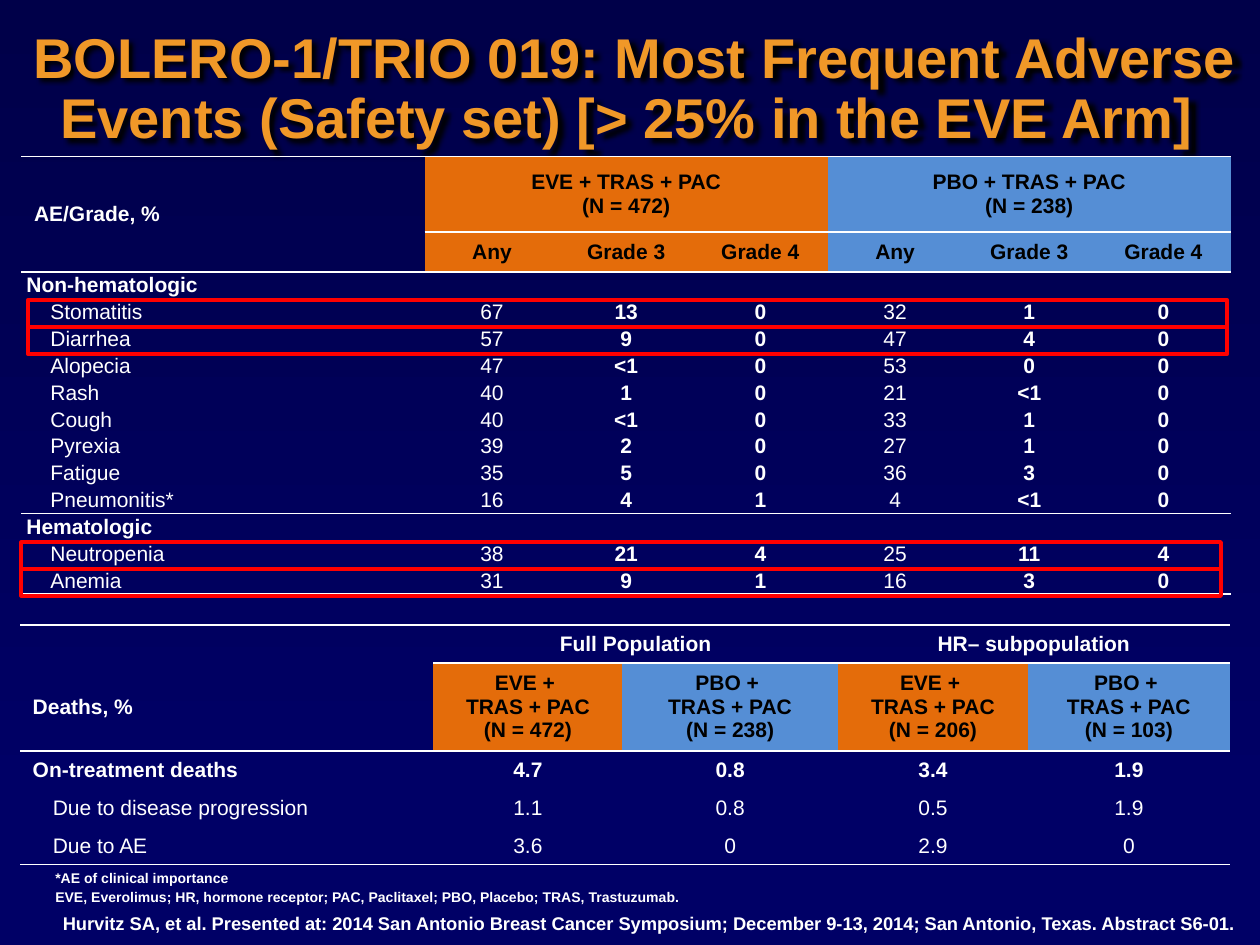
import pptx
import pptx.util
import pptx.dml.color
import pptx.enum.shapes
import pptx.enum.text
import pptx.oxml
from pptx.oxml.ns import nsdecls

Inches = pptx.util.Inches
Pt = pptx.util.Pt
ALIGN = pptx.enum.text.PP_ALIGN
ANCHOR = pptx.enum.text.MSO_ANCHOR

WHITE, BLACK, RED, GOLD = "FFFFFF", "000000", "FF0000", "F09828"
ORANGE, BLUE = "E46C0A", "558ED5"
NAVY, NIGHT = "000066", "000049"
NO_STYLE = "{2D5ABB26-0587-4C30-8999-92F81FD0307C}"

TITLE = "BOLERO-1/TRIO 019: Most Frequent Adverse Events (Safety set) [> 25% in the EVE Arm] "
FOOTNOTES = [
    "*AE of clinical importance",
    "EVE, Everolimus; HR, hormone receptor; PAC, Paclitaxel; PBO, Placebo; TRAS, Trastuzumab.",
]
CITATION = ("Hurvitz SA, et al. Presented at: 2014 San Antonio Breast Cancer Symposium; "
            "December 9-13, 2014; San Antonio, Texas. Abstract S6-01.")

GRADES = ["Any", "Grade 3", "Grade 4"]
EVENTS = [
    ["AE/Grade, %", "EVE + TRAS + PAC\n(N = 472)", "", "", "PBO + TRAS + PAC\n(N = 238)", "", ""],
    ["", *GRADES, *GRADES],
    ["Non-hematologic"] + [""] * 6,
    ["Stomatitis", "67", "13", "0", "32", "1", "0"],
    ["Diarrhea", "57", "9", "0", "47", "4", "0"],
    ["Alopecia", "47", "<1", "0", "53", "0", "0"],
    ["Rash", "40", "1", "0", "21", "<1", "0"],
    ["Cough", "40", "<1", "0", "33", "1", "0"],
    ["Pyrexia", "39", "2", "0", "27", "1", "0"],
    ["Fatigue", "35", "5", "0", "36", "3", "0"],
    ["Pneumonitis*", "16", "4", "1", "4", "<1", "0"],
    ["Hematologic"] + [""] * 6,
    ["Neutropenia", "38", "21", "4", "25", "11", "4"],
    ["Anemia", "31", "9", "1", "16", "3", "0"],
]
EVENT_TOP = 1.24
EVENT_ROW = 2.56 / 12
EVENT_HEIGHTS = [0.6, 0.32] + [EVENT_ROW] * 12
EVENT_GROUPS = (2, 11)
EVENT_SPANS = [(0, 0, 1, 0), (0, 1, 0, 3), (0, 4, 0, 6)] + [(r, 0, r, 6) for r in EVENT_GROUPS]
EVENT_RULES = {-1: (0, 1), 0: (0, 1), 1: (0, 1), 10: (0, 1), 13: (0, 1.5)}

DEATHS = [
    ["", "Full Population", "", "HR– subpopulation", ""],
    ["Deaths, %"] + [f"{arm} + \nTRAS + PAC\n(N = {n})" for arm, n in
                     [("EVE", 472), ("PBO", 238), ("EVE", 206), ("PBO", 103)]],
    ["On-treatment deaths", "4.7", "0.8", "3.4", "1.9"],
    ["Due to disease progression", "1.1", "0.8", "0.5", "1.9"],
    ["Due to AE", "3.6", "0", "2.9", "0"],
]
DEATH_SPANS = [(0, 1, 0, 2), (0, 3, 0, 4)]
DEATH_RULES = {-1: (0, 1), 0: (1, 1), 1: (0, 1), 4: (0, 1)}

HIGHLIGHTS = [(0.22, 3), (0.22, 4), (0.17, 12), (0.17, 13)]


def rgb(hex_code):
    return pptx.dml.color.RGBColor.from_string(hex_code)


def write(frame, lines, size, color=WHITE, bold=True, align=ALIGN.LEFT, gap=0):
    for i, line in enumerate(lines):
        paragraph = frame.paragraphs[0] if i == 0 else frame.add_paragraph()
        paragraph.alignment = align
        if i and gap:
            paragraph.space_before = Pt(gap)
        if not line:
            paragraph._p.get_or_add_endParaRPr().set("sz", str(int(size * 100)))
            continue
        run = paragraph.add_run()
        run.text = line
        run.font.name = "Arial"
        run.font.size = Pt(size)
        run.font.bold = bold
        run.font.color.rgb = rgb(color)


def add_text(slide, box, lines, size, **style):
    textbox = slide.shapes.add_textbox(*map(Inches, box))
    textbox.text_frame.word_wrap = True
    write(textbox.text_frame, lines, size, **style)
    return textbox


def add_border(cell, side, width):
    paint = f'<a:solidFill><a:srgbClr val="{WHITE}"/></a:solidFill>' if width else "<a:noFill/>"
    cell._tc.get_or_add_tcPr().append(pptx.oxml.parse_xml(
        f'<a:{side} {nsdecls("a")} w="{int(Pt(width))}">{paint}</a:{side}>'))


def add_grid(slide, left, top, widths, heights, content, spans, rules, look):
    table = slide.shapes.add_table(
        len(heights), len(widths), Inches(left), Inches(top),
        Inches(sum(widths)), Inches(sum(heights))).table
    table.first_row = table.horz_banding = False
    table._tbl.tblPr[0].text = NO_STYLE
    for column, width in zip(table.columns, widths):
        column.width = Inches(width)
    for row, height in zip(table.rows, heights):
        row.height = Inches(height)
    for r, texts in enumerate(content):
        for c, text in enumerate(texts):
            cell = table.cell(r, c)
            fill, bold, margins = look(r, c)
            (cell.margin_left, cell.margin_top,
             cell.margin_right, cell.margin_bottom) = map(Inches, margins if text else (0, 0, 0, 0))
            cell.vertical_anchor = ANCHOR.MIDDLE
            for side, rule_row in (("lnT", r - 1), ("lnB", r)):
                first_column, width = rules.get(rule_row, (0, 0))
                add_border(cell, side, width if c >= first_column else 0)
            if fill:
                cell.fill.solid()
                cell.fill.fore_color.rgb = rgb(fill)
            else:
                cell.fill.background()
            write(cell.text_frame, text.split("\n"), 12, BLACK if fill else WHITE, bold,
                  ALIGN.CENTER if c else ALIGN.LEFT)
    for r1, c1, r2, c2 in spans:
        table.cell(r1, c1).merge(table.cell(r2, c2))


def event_look(r, c):
    if r < 2:
        fill = None if c == 0 else ORANGE if c < 4 else BLUE
        return fill, True, (0.1, 0.05, 0.1, 0.05)
    if r in EVENT_GROUPS:
        return None, True, (0.04, 0, 0.04, 0)
    return None, c not in (0, 1, 4), (0.04 if c else 0.23, 0, 0.04, 0)


def death_look(r, c):
    fill = (ORANGE if c % 2 else BLUE) if r == 1 and c else None
    label_margins = (0.26 if r > 2 else 0.1, 0.01, 0.3, 0)
    return fill, r < 3, (0.1, 0.05, 0.1, 0.05) if c else label_margins


def main():
    deck = pptx.Presentation()
    deck.slide_width, deck.slide_height = Inches(10), Inches(7.5)
    slide = deck.slides.add_slide(deck.slide_layouts[6])
    slide.background.fill.solid()
    slide.background.fill.fore_color.rgb = rgb(NAVY)

    rectangle = pptx.enum.shapes.MSO_SHAPE.RECTANGLE
    backdrop = slide.shapes.add_shape(rectangle, 0, 0, Inches(10), Inches(6.42))
    backdrop.shadow.inherit = False
    backdrop.line.fill.background()
    backdrop.fill.gradient()
    backdrop.fill.gradient_angle = 270
    for stop, (position, color) in zip(backdrop.fill.gradient_stops, [(0, NIGHT), (1, NAVY)]):
        stop.position = position
        stop.color.rgb = rgb(color)

    title = add_text(slide, (0.04, 0.09, 10, 1.25), [TITLE], 32, color=GOLD, align=ALIGN.CENTER)
    title.text_frame.vertical_anchor = ANCHOR.MIDDLE
    title.text_frame.paragraphs[0].line_spacing = 0.9
    title._element.spPr.append(pptx.oxml.parse_xml(
        f'<a:effectLst {nsdecls("a")}><a:outerShdw blurRad="38100" dist="38100" dir="2700000">'
        f'<a:srgbClr val="{BLACK}"/></a:outerShdw></a:effectLst>'))

    add_grid(slide, 0.17, EVENT_TOP, [3.2] + [1.07, 1.06, 1.07] * 2, EVENT_HEIGHTS,
             EVENTS, EVENT_SPANS, EVENT_RULES, event_look)
    for left, row in HIGHLIGHTS:
        highlight = slide.shapes.add_shape(
            rectangle, Inches(left), Inches(EVENT_TOP + sum(EVENT_HEIGHTS[:row]) + 0.01),
            Inches(9.52), Inches(EVENT_ROW))
        highlight.shadow.inherit = False
        highlight.fill.background()
        highlight.line.color.rgb = rgb(RED)
        highlight.line.width = Pt(2.25)

    add_text(slide, (0.34, 6.85, 9.22, 0.76), FOOTNOTES, 8, gap=1.6)
    add_grid(slide, 0.16, 4.96, [3.28, 1.5, 1.71, 1.51, 1.6], [0.3, 0.7, 0.3, 0.3, 0.3],
             DEATHS, DEATH_SPANS, DEATH_RULES, death_look)
    add_text(slide, (0.4, 7.19, 9.65, 0.28), [CITATION], 10.5)
    deck.save("out.pptx")


if __name__ == "__main__":
    main()
